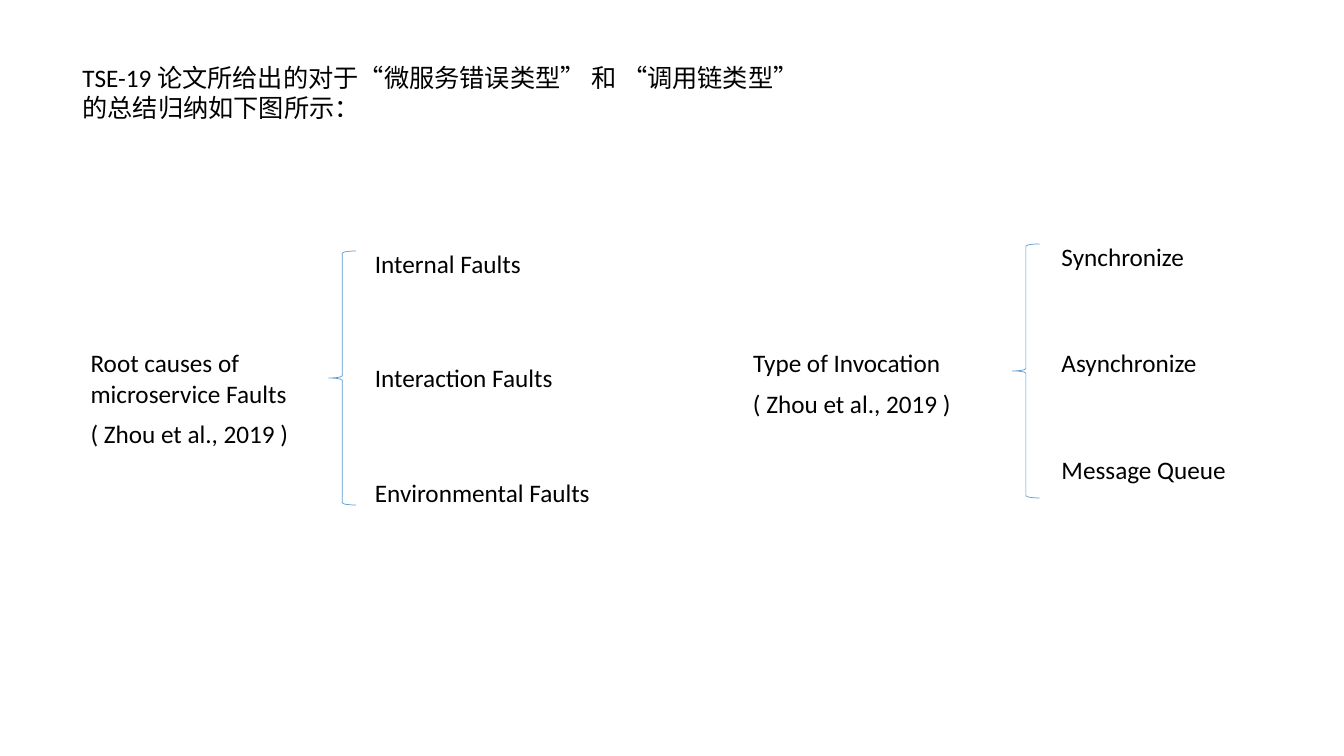
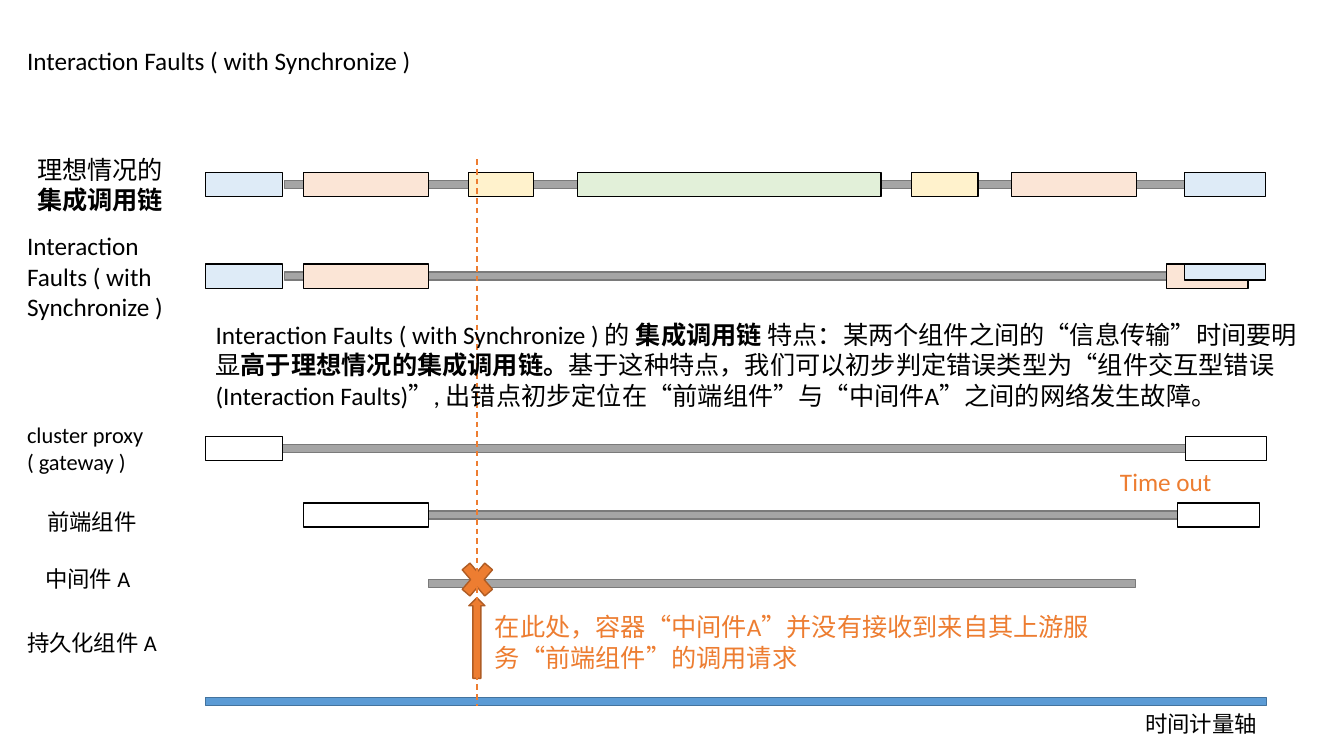
from lxml import etree
from pptx import Presentation
from pptx.dml.color import RGBColor
from pptx.enum.dml import MSO_LINE
from pptx.enum.shapes import MSO_CONNECTOR, MSO_SHAPE
from pptx.enum.text import MSO_AUTO_SIZE
from pptx.oxml.ns import qn
from pptx.util import Emu, Pt

RECT = MSO_SHAPE.RECTANGLE
BRACE = MSO_SHAPE.LEFT_BRACE
ARROW = MSO_SHAPE.UP_ARROW
CROSS = MSO_SHAPE.MATH_MULTIPLY
STRAIGHT = MSO_CONNECTOR.STRAIGHT
DASH = MSO_LINE.DASH
GROW = MSO_AUTO_SIZE.SHAPE_TO_FIT_TEXT

SCALE = 9144
FONT = "Calibri"
BLACK, WHITE = "000000", "FFFFFF"
GRAY, STEEL = "A5A5A5", "7A7A7A"
BLUE, NAVY = "5B9BD5", "43739E"
ORANGE, RUST = "ED7D31", "AF5C24"
SKY, PEACH, CREAM, MINT = "DEEBF7", "FBE5D6", "FFF2CC", "E2F0D9"
BODY, SMALL = 18, 16
CITE = "( Zhou et al., 2019 )"
FAULT = "Interaction Faults ( with Synchronize )"


def px(*nums):
    return [Emu(round(num * SCALE)) for num in nums]


def color(code):
    return RGBColor.from_string(code)


def height(count, size=BODY):
    return 10 + round(size * 5 / 3) * count


def label(slide, left, top, width, lines, size=BODY, ink=BLACK, rows=None):
    """Odd pieces between asterisks are bold."""
    tall = height(rows or len(lines), size)
    box = slide.shapes.add_textbox(*px(left, top, width, tall))
    frame = box.text_frame
    frame.word_wrap = True
    frame.auto_size = GROW
    frame.text = "\n".join(lines)
    for para, line in zip(frame.paragraphs, lines):
        if "*" in line:
            para.clear()
            for num, piece in enumerate(line.split("*")):
                if piece:
                    run = para.add_run()
                    run.text = piece
                    run.font.bold = num % 2 == 1
        for run in para.runs:
            run.font.name = FONT
            run.font.size = Pt(size)
            run.font.color.rgb = color(ink)


def draw(slide, kind, box, fill, line, weight=1):
    shape = slide.shapes.add_shape(kind, *px(*box))
    shape.shadow.inherit = False
    if fill:
        shape.fill.solid()
        shape.fill.fore_color.rgb = color(fill)
    else:
        shape.fill.background()
    shape.line.color.rgb = color(line)
    shape.line.width = Pt(weight)


def dashed(slide, left, top, bottom):
    line = slide.shapes.add_connector(STRAIGHT, *px(left, top, left, bottom))
    line.line.color.rgb = color(ORANGE)
    line.line.width = Pt(1)
    line.line.dash_style = DASH
    etree.SubElement(line._element.spPr, qn("a:effectLst"))


def tree(slide, box, root, items, brace, leaf):
    left, top, width, tall = box
    one = height(1)
    head = height(len(root))
    start = top + tall / 2 + 20 - (head + one) / 2
    label(slide, left, start, 241, root)
    label(slide, left, start + head, 240, [CITE])
    draw(slide, BRACE, (left + brace, top + 8, 27, 252), None, BLUE, 0.5)
    step = (tall - one) / (len(items) - 1)
    for num, item in enumerate(items):
        label(slide, left + leaf, top + num * step, width - leaf, [item])


def track(slide, box, bar, blocks):
    left, top, tall = box
    start, width = bar
    draw(slide, RECT, (left + start, top + 8, width, 8), GRAY, STEEL)
    for start, width, fill, *part in blocks:
        deep = part[0] if part else tall
        draw(slide, RECT, (left + start, top, width, deep), fill, BLACK)


def summary(slide):
    label(slide, 72, 57, 754,
          ["TSE-19 论文所给出的对于“微服务错误类型” 和 “调用链类型”",
           "的总结归纳如下图所示："])
    tree(slide, (80, 241, 538, 268), ["Root causes of", "microservice Faults"],
         ["Internal Faults", "Interaction Faults", "Environmental Faults"],
         246, 282)
    tree(slide, (737, 234, 520, 252), ["Type of Invocation"],
         ["Synchronize", "Asynchronize", "Message Queue"], 267, 306)


def chains(slide, left, top):
    head = [(0, 76, SKY), (97, 124, PEACH)]
    ideal = head + [(261, 64, CREAM), (369, 301, MINT), (700, 66, CREAM),
                    (799, 124, PEACH), (971, 80, SKY)]
    fault = head + [(953, 81, PEACH), (971, 80, SKY, 16)]
    for num, blocks in enumerate([ideal, fault]):
        track(slide, (left, top + 91 * num, 24), (78, 896), blocks)
    label(slide, 27, top - 23, 156, ["理想情况的", "*集成调用链*"])
    label(slide, 17, top + 53, 176, [FAULT], rows=3)


def parts(slide, left, top):
    rows = [
        (0, (76, 896), [(0, 76, WHITE), (972, 80, WHITE)]),
        (66, (221, 743), [(97, 124, WHITE), (964, 81, WHITE)]),
        (134, (221, 701), []),
    ]
    for drop, bar, blocks in rows:
        track(slide, (left, top + drop, 24), bar, blocks)
    names = [
        (17, -20, 157, ["cluster proxy", "( gateway )"]),
        (37, 66, 116, ["前端组件"]),
        (35, 123, 121, ["中间件 A"]),
        (17, 186, 157, ["持久化组件 A"]),
    ]
    for start, drop, width, lines in names:
        label(slide, start, top + drop, width, lines, SMALL)


def axis(slide, left, top):
    draw(slide, RECT, (left, top, 1052, 8), BLUE, NAVY)
    label(slide, left + 922, top + 8, 144, ["时间计量轴"], SMALL)


def failure(slide, mid, top):
    draw(slide, ARROW, (mid - 8, top + 43, 16, 80), ORANGE, RUST)
    draw(slide, CROSS, (mid - 21, top, 43, 50), ORANGE, RUST)
    label(slide, mid + 8, top + 52, 681,
          ["在此处，容器“中间件A”并没有接收到来自其上游服务“前端组件”的调用请求"],
          ink=ORANGE, rows=2)
    label(slide, mid + 628, top - 92, 128, ["Time out"], ink=ORANGE)
    dashed(slide, mid, 158, 700)


def timeline(slide):
    label(slide, 17, 40, 448, [FAULT])
    parts(slide, 204, 433)
    axis(slide, 204, 692)
    chains(slide, 204, 171)
    failure(slide, 473, 550)
    label(slide, 204, 312, 1110,
          [FAULT + " 的 *集成调用链* 特点：某两个组件之间的“信息传输”时间要明显"
           "*高于理想情况的集成调用链。*基于这种特点，我们可以初步判定错误类型为"
           "“组件交互型错误(Interaction Faults)”, 出错点初步定位在“前端组件”与"
           "“中间件A”之间的网络发生故障。"], rows=3)


def main():
    deck = Presentation()
    deck.slide_width, deck.slide_height = px(1333, 750)
    for build in (summary, timeline):
        build(deck.slides.add_slide(deck.slide_layouts[6]))
    deck.save("out.pptx")


if __name__ == "__main__":
    main()
